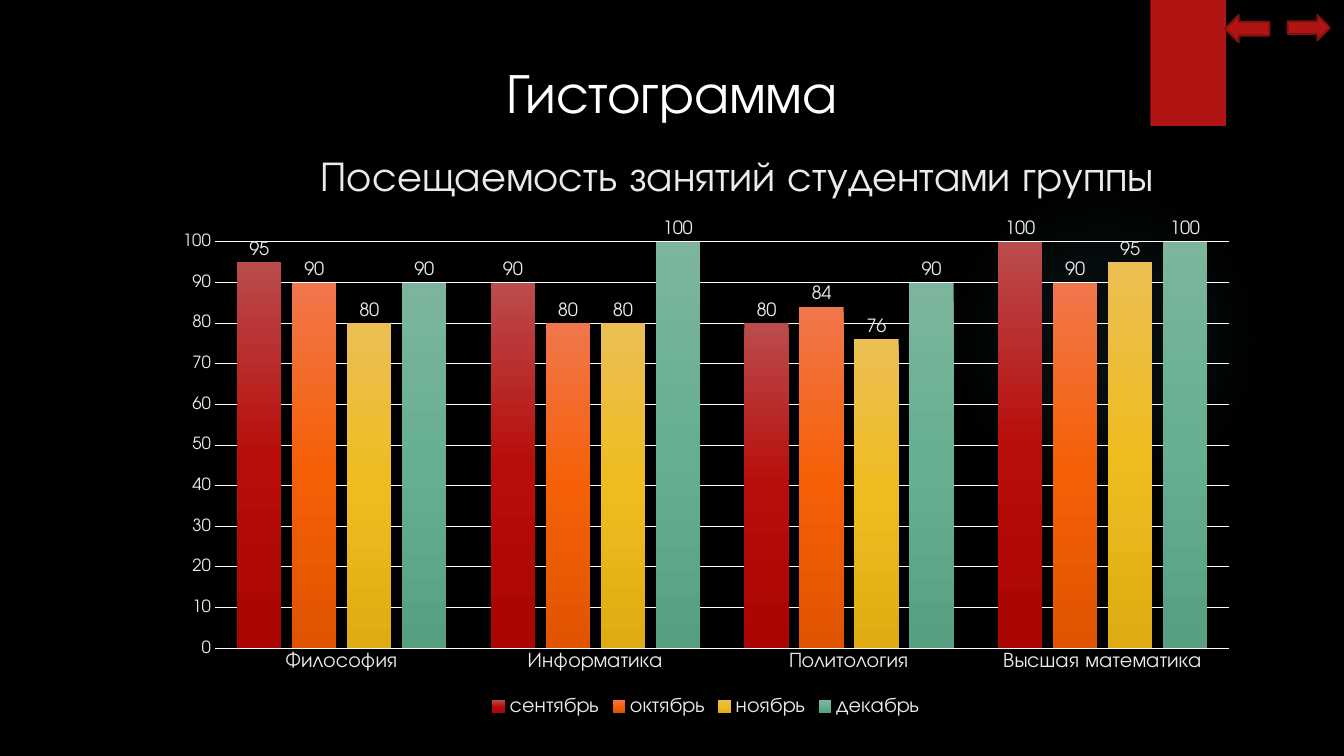
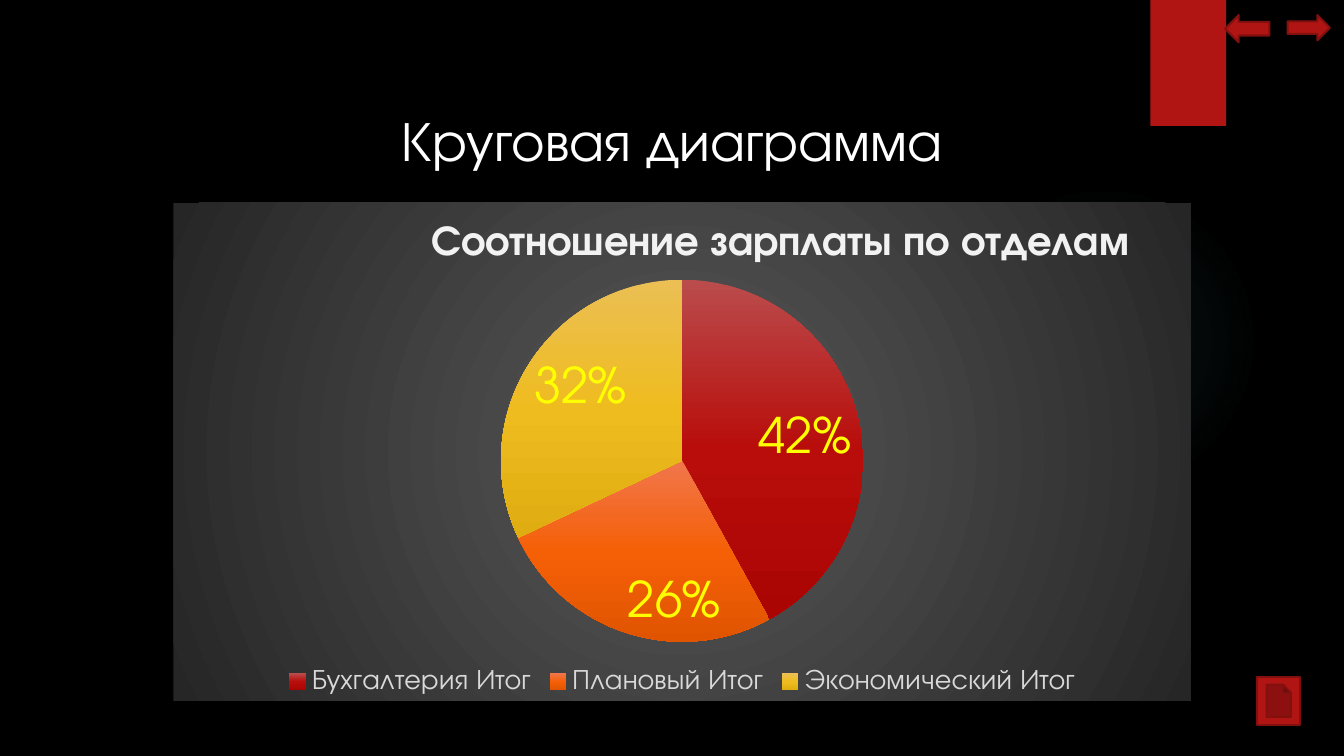
from pptx import Presentation
from pptx.chart.data import CategoryChartData
from pptx.dml.color import RGBColor
from pptx.enum.chart import (XL_CHART_TYPE, XL_LABEL_POSITION,
                             XL_LEGEND_POSITION, XL_TICK_MARK)
from pptx.enum.shapes import MSO_SHAPE
from pptx.enum.text import MSO_ANCHOR, MSO_AUTO_SIZE, PP_ALIGN
from pptx.oxml import parse_xml
from pptx.oxml.ns import nsdecls, qn
from pptx.util import Inches, Pt

FONT = "TeX Gyre Adventor"
COLORS = {
    "background": "000000",
    "title": "FFFFFF",
    "accent": "B01513",
    "outline": "82100E",
    "glow": "50B9C1",
    "chart text": "EBEBEB",
    "chart line": "FCFCFC",
    "pie title": "F2F2F2",
    "pie legend": "D9D9D9",
    "pie label": "FFFF00",
    "panel center": "595959",
    "panel edge": "262626",
}
SERIES_GRADIENTS = [
    ("BB4C4C", "B80D0B", "AA0503"),
    ("F1764C", "F56007", "E05400"),
    ("EBBF53", "EFBC20", "DFAC11"),
    ("7CB59C", "67AF91", "589F81"),
]
DOWNWARD = '<a:lin ang="5400000" scaled="0"/>'
RADIAL = ('<a:path path="circle"><a:fillToRect l="50000" t="50000" '
          'r="50000" b="50000"/></a:path>')


def rgb(name):
    return RGBColor.from_string(COLORS[name])


def gradient_fill(stops, direction):
    """Build a gradient from (position %, hex color, opacity %) stops."""
    stop_list = "".join(
        f'<a:gs pos="{position * 1000}"><a:srgbClr val="{color}">'
        f'<a:alpha val="{opacity * 1000}"/></a:srgbClr></a:gs>'
        for position, color, opacity in stops)
    return parse_xml(f'<a:gradFill {nsdecls("a")} rotWithShape="1">'
                     f'<a:gsLst>{stop_list}</a:gsLst>{direction}</a:gradFill>')


def set_gradient(fill, owner, stops, direction):
    fill.gradient()
    current = next(owner.iter(qn("a:gradFill")))
    current.getparent().replace(current, gradient_fill(stops, direction))


def paint_series(chart_format, colors):
    stops = [(50 * i, color, 100) for i, color in enumerate(colors)]
    set_gradient(chart_format.fill, chart_format.element, stops, DOWNWARD)


def set_layout(parent, index, target="", **shares):
    """Place a chart part, with x, y, w and h in percent of the chart."""
    current = parent.find(qn("c:layout"))
    if current is not None:
        parent.remove(current)
    settings = f'<c:layoutTarget val="{target}"/>' if target else ""
    settings += "".join(f'<c:{key}Mode val="edge"/>' for key in "xy")
    settings += "".join(f'<c:{key} val="{share / 100:.4f}"/>'
                        for key, share in shares.items())
    parent.insert(index, parse_xml(
        f'<c:layout {nsdecls("c")}><c:manualLayout>{settings}'
        '</c:manualLayout></c:layout>'))


def style_font(font, size, color, bold=False):
    font.name = FONT
    font.size = Pt(size)
    font.bold = bold
    font.color.rgb = rgb(color)


class Deck:
    """Shared style and current slide; boxes are percentages of the slide."""

    def __init__(self):
        self.presentation = Presentation()
        self.presentation.slide_width = Inches(13.33)
        self.presentation.slide_height = Inches(7.5)
        self.layout = self.presentation.slide_layouts.get_by_name("Title Only")
        background = self.presentation.slide_master.background.fill
        background.solid()
        background.fore_color.rgb = rgb("background")
        self.slide = None

    def box(self, left, top, width, height):
        column = self.presentation.slide_width / 100
        row = self.presentation.slide_height / 100
        return (round(left * column), round(top * row),
                round(width * column), round(height * row))

    def start_slide(self, title, top):
        first = self.slide is None
        self.slide = self.presentation.slides.add_slide(self.layout)
        if first:
            self.decorate_layout()
        self.title(title, top)
        self.button(MSO_SHAPE.RIGHT_ARROW, 95.8, 2, 3.15, 3.33)
        self.button(MSO_SHAPE.LEFT_ARROW, 91.15, 2, 3.3, 3.6)

    def decorate_layout(self):
        """Move the glow and the red band to the layout all slides use."""
        glow = self.shape(MSO_SHAPE.OVAL, 70.6, 24.4, 23.1, 41.07)
        stops = [(position, COLORS["glow"], opacity)
                 for position, opacity in ((0, 7), (36, 6), (69, 0))]
        set_gradient(glow.fill, glow.element, stops, RADIAL)
        band = self.shape(MSO_SHAPE.RECTANGLE, 85.6, 0, 5.63, 16.67)
        band.fill.solid()
        band.fill.fore_color.rgb = rgb("accent")
        for number, shape in enumerate((glow, band), start=101):
            next(shape.element.iter(qn("p:cNvPr"))).set("id", str(number))
            self.layout.shapes.element.append(shape.element)

    def title(self, text, top):
        title = self.slide.shapes.title
        title.left, title.top, title.width, title.height = self.box(
            0, top, 100, 10.27)
        frame = title.text_frame
        frame.text = text
        frame.word_wrap = True
        frame.auto_size = MSO_AUTO_SIZE.SHAPE_TO_FIT_TEXT
        frame.vertical_anchor = MSO_ANCHOR.TOP
        paragraph = frame.paragraphs[0]
        paragraph.alignment = PP_ALIGN.CENTER
        style_font(paragraph.font, 40, "title")

    def shape(self, preset, *place):
        shape = self.slide.shapes.add_shape(preset, *self.box(*place))
        shape.shadow.inherit = False
        shape.line.fill.background()
        return shape

    def button(self, preset, *place):
        button = self.shape(preset, *place)
        button.fill.solid()
        button.fill.fore_color.rgb = rgb("accent")
        button.line.color.rgb = rgb("outline")
        button.line.width = Pt(1.5)

    def chart(self, kind, place, categories, series):
        data = CategoryChartData()
        data.categories = categories
        for name, values in series.items():
            data.add_series(name, values)
        chart = self.slide.shapes.add_chart(kind, *self.box(*place), data).chart
        style_font(chart.font, 10, "title")
        return chart

    def chart_title(self, chart, text, color, bold, **corner):
        chart.has_title = True
        frame = chart.chart_title.text_frame
        frame.text = text
        style_font(frame.paragraphs[0].font, 30, color, bold)
        set_layout(chart.chart_title.element, 1, **corner)

    def plot_area(self, chart, **shares):
        area = next(chart.element.iter(qn("c:plotArea")))
        set_layout(area, 0, "inner", **shares)

    def legend(self, chart, size, color):
        chart.has_legend = True
        chart.legend.position = XL_LEGEND_POSITION.BOTTOM
        chart.legend.include_in_layout = False
        style_font(chart.legend.font, size, color)

    def labels(self, plot, position, size, color, percent=False):
        plot.has_data_labels = True
        labels = plot.data_labels
        labels.show_value = not percent
        labels.show_percentage = percent
        labels.number_format = "0%" if percent else "General"
        labels.number_format_is_linked = False
        labels.position = position
        style_font(labels.font, size, color)

    def axis(self, axis, size):
        axis.major_tick_mark = axis.minor_tick_mark = XL_TICK_MARK.NONE
        style_font(axis.tick_labels.font, size, "chart text")

    def column_chart(self, place, title, categories, series):
        chart = self.chart(XL_CHART_TYPE.COLUMN_CLUSTERED, place,
                           categories, series)
        self.chart_title(chart, title, "chart text", False, x=14, y=1)
        self.plot_area(chart, x=5, y=17.4, w=93, h=70.1)
        self.legend(chart, 15, "chart text")
        self.axis(chart.category_axis, 15)
        value_axis = chart.value_axis
        self.axis(value_axis, 12)
        value_axis.minimum_scale, value_axis.maximum_scale = 0, 100
        value_axis.major_unit = 10
        value_axis.format.line.fill.background()
        for line in (chart.category_axis.format.line,
                     value_axis.major_gridlines.format.line):
            line.color.rgb = rgb("chart line")
            line.width = Pt(0.75)
        plot = chart.plots[0]
        plot.gap_width, plot.overlap = 100, -24
        plot.vary_by_categories = False
        self.labels(plot, XL_LABEL_POSITION.OUTSIDE_END, 13, "chart text")
        for one_series, colors in zip(plot.series, SERIES_GRADIENTS):
            paint_series(one_series.format, colors)

    def pie_chart(self, place, title, shares):
        chart = self.chart(XL_CHART_TYPE.PIE, place, list(shares),
                           {"Series 1": list(shares.values())})
        self.chart_title(chart, title, "pie title", True, x=24.6, y=1.7)
        self.plot_area(chart, x=32.2, y=15.5, w=35.6, h=72.7)
        self.legend(chart, 20, "pie legend")
        panel = parse_xml(f'<c:spPr {nsdecls("c", "a")}/>')
        panel.append(gradient_fill([(0, COLORS["panel center"], 100),
                                    (100, COLORS["panel edge"], 100)], RADIAL))
        panel.append(parse_xml(f'<a:ln {nsdecls("a")}><a:noFill/></a:ln>'))
        chart.element.find(qn("c:chart")).addnext(panel)
        plot = chart.plots[0]
        plot.vary_by_categories = True
        self.labels(plot, XL_LABEL_POSITION.INSIDE_END, 35, "pie label",
                    percent=True)
        for i, colors in enumerate(SERIES_GRADIENTS[:len(shares)]):
            paint_series(plot.series[0].points[i].format, colors)


def main():
    deck = Deck()

    deck.start_slide("Гистограмма", 6.93)
    deck.column_chart(
        (11.93, 18.67, 81.17, 76.67),
        "Посещаемость занятий студентами группы",
        ["Философия", "Информатика", "Политология", "Высшая математика"],
        {"сентябрь": (95, 90, 80, 100),
         "октябрь": (90, 80, 84, 90),
         "ноябрь": (80, 80, 76, 95),
         "декабрь": (90, 100, 90, 100)})

    deck.start_slide("Круговая диаграмма", 13.33)
    deck.button(MSO_SHAPE.ACTION_BUTTON_DOCUMENT, 93.55, 89.5, 3.2, 6.4)
    deck.pie_chart(
        (12.9, 26.8, 75.7, 65.87),
        "Соотношение зарплаты по отделам",
        {"Бухгалтерия Итог": 42, "Плановый Итог": 26,
         "Экономический Итог": 32})

    deck.presentation.save("out.pptx")


if __name__ == "__main__":
    main()
